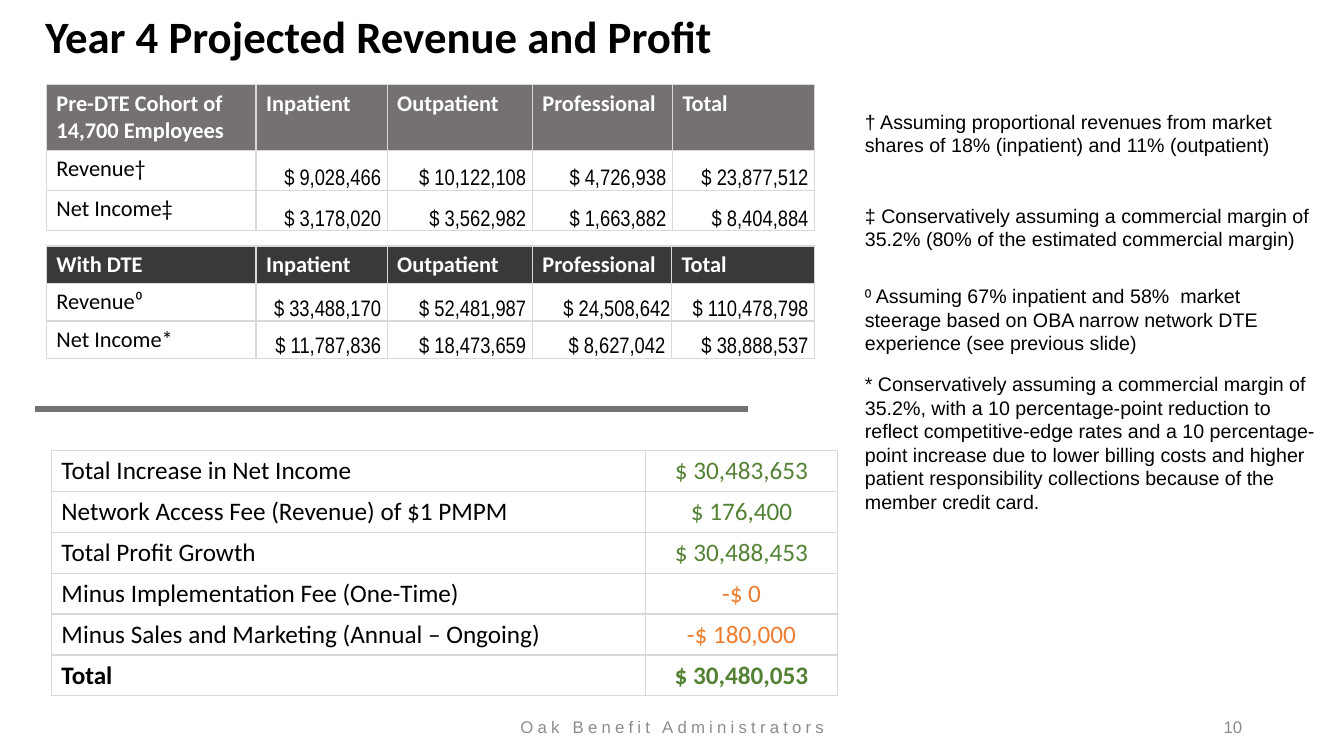
import dataclasses

import pptx
import pptx.dml.color
import pptx.enum.shapes
import pptx.enum.text
import pptx.oxml
import pptx.oxml.ns
import pptx.slide
import pptx.table
import pptx.text.text
import pptx.util

Inches = pptx.util.Inches
Align = pptx.enum.text.PP_ALIGN
Anchor = pptx.enum.text.MSO_ANCHOR


@dataclasses.dataclass(frozen=True)
class Theme:
    black: str = "000000"
    white: str = "FFFFFF"
    gray: str = "767171"
    charcoal: str = "3B3838"
    border: str = "D9D9D9"
    footer: str = "8C8C8C"
    gain: str = "548235"
    cost: str = "ED7D31"
    heading_font: str = "Calibri"
    note_font: str = "Arial"
    figure_font: str = "Arial Narrow"
    title_size: int = 32
    summary_size: int = 18
    table_size: int = 16
    note_size: int = 14
    footer_size: int = 12


THEME = Theme()


@dataclasses.dataclass(frozen=True)
class Grid:
    left: float
    top: float
    columns: list[float]
    row_heights: list[float]
    rows: list[list[str]]


@dataclasses.dataclass(frozen=True)
class Projection:
    grid: Grid
    header_fill: str


@dataclasses.dataclass(frozen=True)
class TextBox:
    left: float
    top: float
    width: float
    height: float
    text: str


PROJECTIONS = [
    Projection(Grid(0.46, 0.84, [2.08, 1.3, 1.44, 1.39, 1.41], [0.65, 0.4, 0.4], [
        ["Pre-DTE Cohort of 14,700 Employees", "Inpatient", "Outpatient", "Professional", "Total"],
        ["Revenue†", "$ 9,028,466 ", "$ 10,122,108 ", "$ 4,726,938 ", "$ 23,877,512 "],
        ["Net Income‡", "$ 3,178,020 ", "$ 3,562,982 ", "$ 1,663,882 ", "$ 8,404,884 "],
    ]), THEME.gray),
    Projection(Grid(0.46, 2.44, [2.08, 1.3, 1.44, 1.38, 1.42], [0.37] * 3, [
        ["With DTE", "Inpatient", "Outpatient", "Professional", "Total"],
        ["Revenue⁰", "$ 33,488,170 ", "$ 52,481,987 ", "$ 24,508,642", "$ 110,478,798 "],
        ["Net Income*", "$ 11,787,836 ", "$ 18,473,659 ", "$ 8,627,042 ", "$ 38,888,537 "],
    ]), THEME.charcoal),
]

SUMMARY = Grid(0.51, 4.47, [5.89, 1.91], [0.405] * 6, [
    ["Total Increase in Net Income", "$ 30,483,653"],
    ["Network Access Fee (Revenue) of $1 PMPM", "$ 176,400"],
    ["Total Profit Growth", "$ 30,488,453"],
    ["Minus Implementation Fee (One-Time)", "-$ 0"],
    ["Minus Sales and Marketing (Annual – Ongoing)", "-$ 180,000"],
    ["Total", "$ 30,480,053"],
])

NOTES = [
    TextBox(8.48, 1.04, 4.72, 0.81,
            "† Assuming proportional revenues from market shares of 18% (inpatient) "
            "and 11% (outpatient)"),
    TextBox(8.48, 1.97, 4.72, 0.57,
            "‡ Conservatively assuming a commercial margin of 35.2% "
            "(80% of the estimated commercial margin)"),
    TextBox(8.48, 2.77, 4.72, 0.81,
            "⁰ Assuming 67% inpatient and 58%  market steerage based on OBA narrow "
            "network DTE experience (see previous slide)"),
    TextBox(8.48, 3.64, 4.72, 1.51,
            "* Conservatively assuming a commercial margin of 35.2%, with a 10 "
            "percentage-point reduction to reflect competitive-edge rates and a 10 "
            "percentage-point increase due to lower billing costs and higher patient "
            "responsibility collections because of the member credit card."),
]

FOOTER = TextBox(4.42, 7.08, 4.5, 0.27, "Oak Benefit Administrators")
PAGE_NUMBER = TextBox(9.42, 7.08, 3, 0.27, "10")


def rgb(color: str) -> pptx.dml.color.RGBColor:
    return pptx.dml.color.RGBColor.from_string(color)


def style(p: pptx.text.text._Paragraph, font: str, size: int, color: str,
          bold: bool = False, align: Align = Align.LEFT) -> None:
    p.alignment = align
    p.font.name = font
    p.font.size = pptx.util.Pt(size)
    p.font.bold = bold
    p.font.color.rgb = rgb(color)


def add_borders(cell: pptx.table._Cell) -> None:
    tc_pr = cell._tc.get_or_add_tcPr()
    for side in ("lnL", "lnR", "lnT", "lnB"):
        tc_pr.append(pptx.oxml.parse_xml(
            f'<a:{side} {pptx.oxml.ns.nsdecls("a")} w="12700"><a:solidFill>'
            f'<a:srgbClr val="{THEME.border}"/></a:solidFill></a:{side}>'))


def add_grid(s: pptx.slide.Slide, grid: Grid) -> pptx.table.Table:
    table = s.shapes.add_table(
        len(grid.rows), len(grid.columns), Inches(grid.left), Inches(grid.top),
        Inches(sum(grid.columns)), Inches(sum(grid.row_heights))).table
    table.first_row = table.horz_banding = False
    for column, width in zip(table.columns, grid.columns):
        column.width = Inches(width)
    for row, height, texts in zip(table.rows, grid.row_heights, grid.rows):
        row.height = Inches(height)
        for cell, text in zip(row.cells, texts):
            cell.text = text
            add_borders(cell)
            cell.fill.background()
    return table


def add_projection(s: pptx.slide.Slide, projection: Projection) -> None:
    table = add_grid(s, projection.grid)
    for i, row in enumerate(table.rows):
        for j, cell in enumerate(row.cells):
            p = cell.text_frame.paragraphs[0]
            if i == 0:
                cell.fill.solid()
                cell.fill.fore_color.rgb = rgb(projection.header_fill)
                style(p, THEME.heading_font, THEME.table_size, THEME.white, bold=True)
            elif j == 0:
                style(p, THEME.heading_font, THEME.table_size, THEME.black)
            else:
                cell.vertical_anchor = Anchor.BOTTOM
                cell.margin_left = cell.margin_top = cell.margin_right = Inches(0.01)
                cell.margin_bottom = 0
                style(p, THEME.figure_font, THEME.table_size, THEME.black, align=Align.RIGHT)


def add_summary(s: pptx.slide.Slide, grid: Grid) -> None:
    for row in add_grid(s, grid).rows:
        label, amount = row.cells
        bold = label.text == "Total"
        color = THEME.cost if amount.text.startswith("-") else THEME.gain
        style(label.text_frame.paragraphs[0], THEME.heading_font, THEME.summary_size,
              THEME.black, bold)
        style(amount.text_frame.paragraphs[0], THEME.heading_font, THEME.summary_size,
              color, bold, Align.CENTER)


def add_text(s: pptx.slide.Slide, box: TextBox, size: int, color: str,
             align: Align = Align.LEFT, anchor: Anchor = Anchor.TOP) -> pptx.text.text._Paragraph:
    tf = s.shapes.add_textbox(Inches(box.left), Inches(box.top),
                              Inches(box.width), Inches(box.height)).text_frame
    tf.word_wrap = True
    tf.vertical_anchor = anchor
    p = tf.paragraphs[0]
    p.text = box.text
    style(p, THEME.note_font, size, color, align=align)
    return p


def add_title(s: pptx.slide.Slide, text: str) -> None:
    sp = s.shapes.title
    sp.left, sp.top, sp.width, sp.height = map(Inches, (0.35, 0.04, 6.88, 0.64))
    tf = sp.text_frame
    tf.text = text
    tf.word_wrap = False
    tf.auto_size = pptx.enum.text.MSO_AUTO_SIZE.NONE
    tf.vertical_anchor = Anchor.TOP
    style(tf.paragraphs[0], THEME.heading_font, THEME.title_size, THEME.black, bold=True)


def add_divider(s: pptx.slide.Slide) -> None:
    line = s.shapes.add_connector(pptx.enum.shapes.MSO_CONNECTOR.STRAIGHT,
                                  Inches(0.35), Inches(4.06), Inches(7.42), Inches(4.06))
    line.line.color.rgb = rgb(THEME.gray)
    line.line.width = pptx.util.Pt(4.5)
    line._element.spPr.append(
        pptx.oxml.parse_xml(f'<a:effectLst {pptx.oxml.ns.nsdecls("a")}/>'))


def main() -> None:
    prs = pptx.Presentation()
    prs.slide_width, prs.slide_height = Inches(13.33), Inches(7.5)
    s = prs.slides.add_slide(prs.slide_layouts[5])
    add_title(s, "Year 4 Projected Revenue and Profit")
    for projection in PROJECTIONS:
        add_projection(s, projection)
    add_divider(s)
    add_summary(s, SUMMARY)
    for note in NOTES:
        add_text(s, note, THEME.note_size, THEME.black)
    p = add_text(s, FOOTER, THEME.footer_size, THEME.footer, Align.CENTER, Anchor.MIDDLE)
    p.runs[0].font._element.set("spc", "300")
    add_text(s, PAGE_NUMBER, THEME.footer_size, THEME.footer, Align.RIGHT, Anchor.MIDDLE)
    prs.save("out.pptx")


if __name__ == "__main__":
    main()
